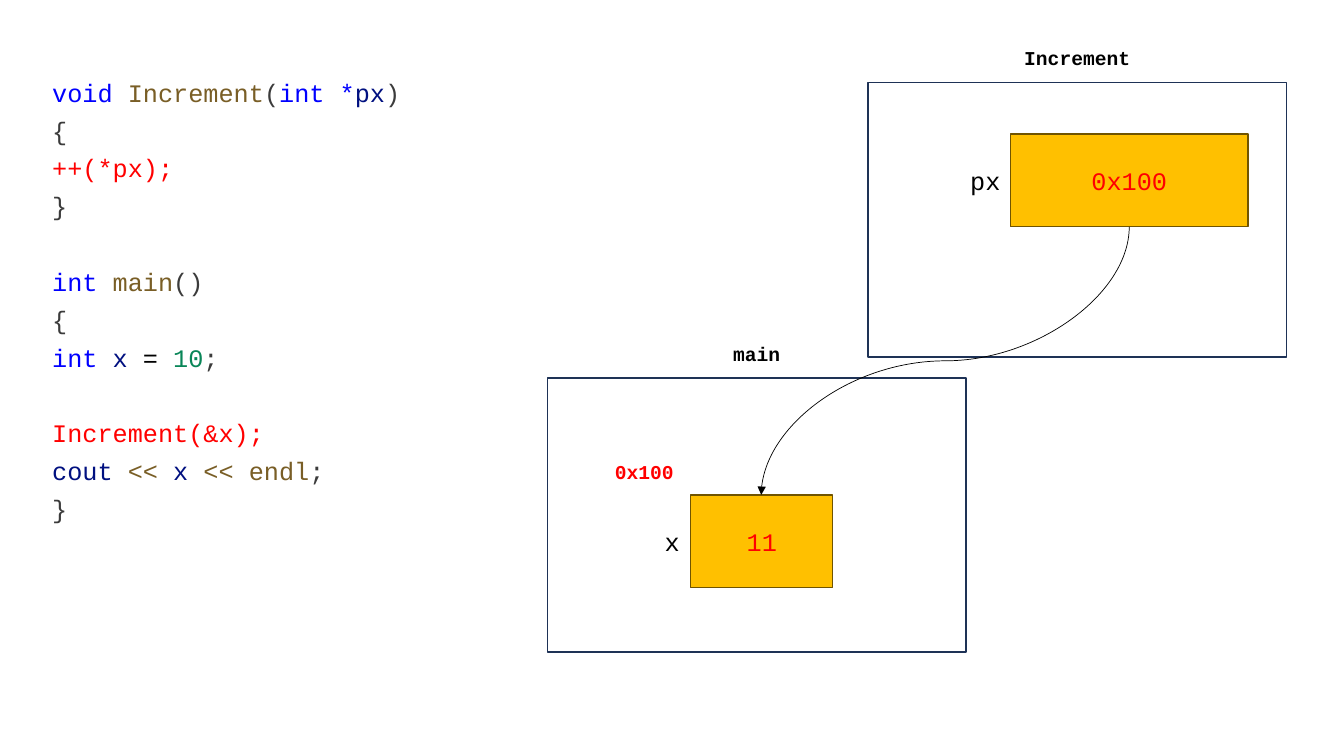
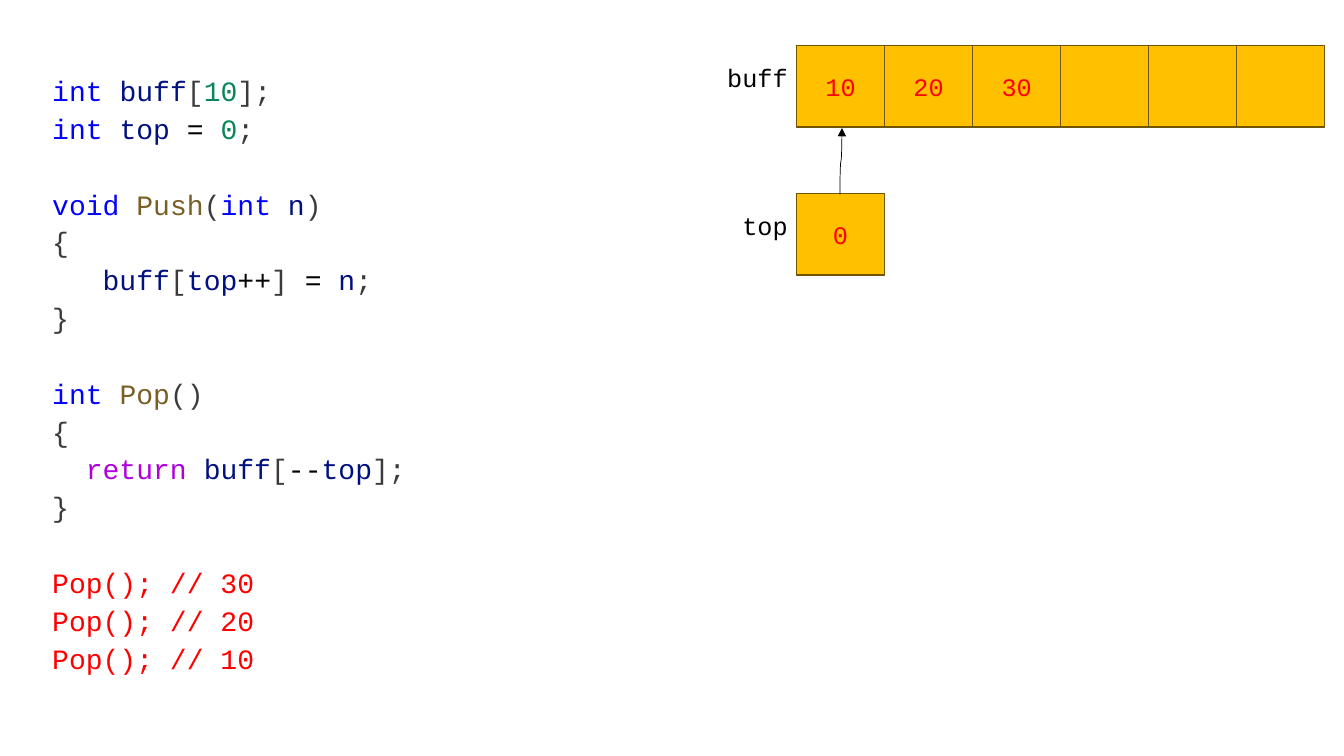
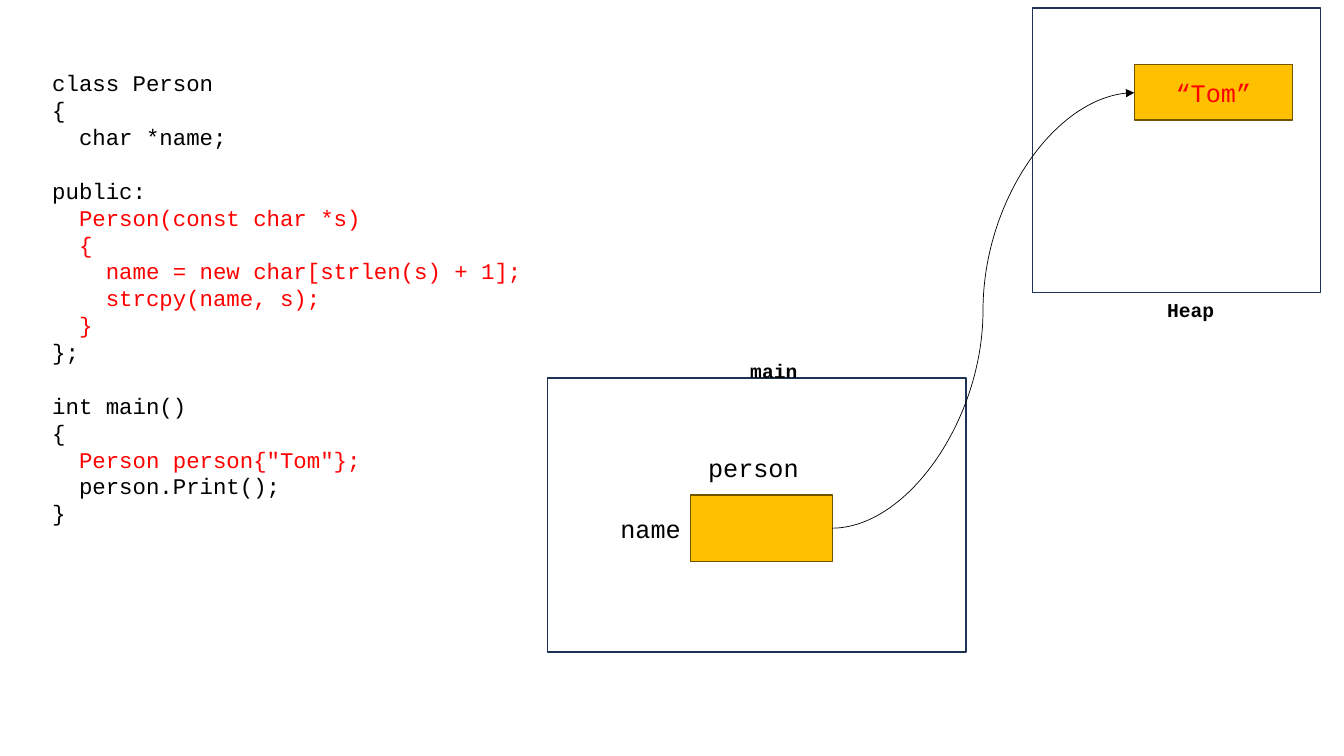
import lxml.etree
import pptx
import pptx.dml.color
import pptx.enum.shapes
import pptx.enum.text
import pptx.oxml.ns
import pptx.util

Inches, Pt = pptx.util.Inches, pptx.util.Pt
ALIGN = pptx.enum.text.PP_ALIGN


class Theme:
    font = "Courier New"
    ink = {
        "word": "0000FF",
        "func": "795E26",
        "mark": "3B3B3B",
        "var": "001080",
        "num": "098658",
        "flow": "AF00DB",
        "hot": "FF0000",
        "text": "000000",
        "page": "FFFFFF",
        "edge": "1E3256",
        "cell": "FFC000",
        "rim": "705400",
    }
    label = 18
    head = 14
    line = 1
    arrow = 0.5


ROW = (7.9, 13.14)
STACK = ("10", "20", "30", "", "", "")
STEP = (ROW[1] - ROW[0]) / len(STACK)
MAIN = (5.43, 3.75, 4.15, 2.72)

POINTER = [
    [("word", "void "), ("func", "Increment"), ("mark", "("), ("word", "int *"),
     ("var", "px"), ("mark", ")")],
    [("mark", "{")],
    [("hot", "++(*px);")],
    [("mark", "}")],
    [],
    [("word", "int "), ("func", "main"), ("mark", "()")],
    [("mark", "{")],
    [("word", "int "), ("var", "x "), ("text", "= "), ("num", "10"), ("mark", ";")],
    [],
    [("hot", "Increment(&x);")],
    [("var", "cout "), ("func", "<< "), ("var", "x "), ("func", "<< endl"), ("mark", ";")],
    [("mark", "}")],
]

PUSHPOP = [
    [("word", "int "), ("var", "buff"), ("mark", "["), ("num", "10"), ("mark", "];")],
    [("word", "int "), ("var", "top "), ("text", "= "), ("num", "0"), ("mark", ";")],
    [],
    [("word", "void "), ("func", "Push"), ("mark", "("), ("word", "int "),
     ("var", "n"), ("mark", ")")],
    [("mark", "{")],
    [("var", "   buff"), ("mark", "["), ("var", "top"), ("text", "++"), ("mark", "] "),
     ("text", "= "), ("var", "n"), ("mark", ";")],
    [("mark", "}")],
    [],
    [("word", "int "), ("func", "Pop"), ("mark", "()")],
    [("mark", "{")],
    [("flow", "  return "), ("var", "buff"), ("mark", "["), ("text", "--"),
     ("var", "top"), ("mark", "];")],
    [("mark", "}")],
    [],
    [("hot", "Pop(); // 30")],
    [("hot", "Pop(); // 20")],
    [("hot", "Pop(); // 10")],
]

PERSON = [
    [("text", "class Person")],
    [("text", "{")],
    [("text", "  char *name;")],
    [],
    [("text", "public:")],
    [("hot", "  Person(const char *s)")],
    [("hot", "  {")],
    [("hot", "    name = new char[strlen(s) + 1];")],
    [("hot", "    strcpy(name, s);")],
    [("hot", "  }")],
    [("text", "};")],
    [],
    [("text", "int main()")],
    [("text", "{")],
    [("hot", "  Person person{\"Tom\"};")],
    [("text", "  person.Print();")],
    [("text", "}")],
]

SLIDES = [
    {
        "code": (POINTER, 18, 27, 4.62),
        "frames": [MAIN, (8.61, 0.82, 4.15, 2.72)],
        "cells": [("11", (6.85, 4.91, 1.41, 0.92)), ("0x100", (10.02, 1.33, 2.36, 0.92))],
        "names": [("x", (5.22, 5.17, 1.62, 0.4)), ("px", (8.4, 1.59, 1.62, 0.4))],
        "heads": [
            ("0x100", (6, 4.51, 1.79, 0.34), "hot", ALIGN.LEFT),
            ("main", (5.43, 3.34, 4.15, 0.34), "text", ALIGN.CENTER),
            ("Increment", (8.61, 0.41, 4.15, 0.34), "text", ALIGN.CENTER),
        ],
        "arrow": ((11.2, 2.25), (7.55, 4.91), True),
    },
    {
        "code": (PUSHPOP, 20, 27, 6.52),
        "frames": [],
        "cells": [(val, (ROW[0] + i * STEP, 0.45, STEP, 0.81)) for i, val in enumerate(STACK)]
        + [("0", (ROW[0], 1.92, STEP, 0.81))],
        "names": [("buff", (6.29, 0.57, 1.62, 0.4)), ("top", (6.29, 2.04, 1.62, 0.4))],
        "heads": [],
        "arrow": ((8.33, 1.93), (8.35, 1.27), True),
    },
    {
        "code": (PERSON, 16, 19.2, 4.68),
        "frames": [(10.24, 0.08, 2.86, 2.82), MAIN],
        "cells": [("", (6.85, 4.91, 1.41, 0.66)), ("“Tom”", (11.25, 0.64, 1.57, 0.55))],
        "names": [("name", (5.7, 5.04, 1.15, 0.4)), ("person", (6.4, 4.44, 1.62, 0.4))],
        "heads": [
            ("Heap", (10.93, 2.91, 1.76, 0.34), "text", ALIGN.CENTER),
            ("main", (5.6, 3.51, 4.15, 0.34), "text", ALIGN.CENTER),
        ],
        "arrow": ((8.25, 5.24), (11.25, 0.92), False),
    },
]


def tint(key):
    return pptx.dml.color.RGBColor.from_string(Theme.ink[key])


def apply(item, form):
    for key, val in form.items():
        setattr(item, key, val)


def write(para, text, size, ink, bold=False):
    run = para.add_run()
    run.text = text
    apply(run.font, {"name": Theme.font, "size": Pt(size), "bold": bold})
    run.font.color.rgb = tint(ink)


def add_text(slide, at):
    frame = slide.shapes.add_textbox(*map(Inches, at)).text_frame
    frame.word_wrap = True
    return frame


def add_code(slide, lines, size, pitch, high):
    frame = add_text(slide, (0.42, 0.64, 6.66, high))
    para, gap = frame.paragraphs[0], 0
    for i, line in enumerate(lines):
        if not line:
            gap = pitch
            continue
        if i:
            para = frame.add_paragraph()
        apply(para, {"line_spacing": Pt(pitch), "space_before": Pt(gap)})
        gap = 0
        for ink, text in line:
            write(para, text, size, ink)


def add_label(slide, text, at, size, ink, align, bold):
    para = add_text(slide, at).paragraphs[0]
    para.alignment = align
    write(para, text, size, ink, bold)


def add_box(slide, at, fill, edge, text=""):
    kind = pptx.enum.shapes.MSO_SHAPE.RECTANGLE
    box = slide.shapes.add_shape(kind, *map(Inches, at))
    box.shadow.inherit = False
    box.fill.solid()
    box.fill.fore_color.rgb = tint(fill)
    box.line.color.rgb = tint(edge)
    box.line.width = Pt(Theme.line)
    if text:
        para = box.text_frame.paragraphs[0]
        para.alignment = ALIGN.CENTER
        write(para, text, Theme.label, "hot")


def add_arrow(slide, start, end, turn):
    if turn:
        mid = [(a + b) / 2 for a, b in zip(start, end)]
        dx, dy = start[0] - mid[0], start[1] - mid[1]
        start = (mid[0] + dy, mid[1] - dx)
        end = (mid[0] - dy, mid[1] + dx)
    kind = pptx.enum.shapes.MSO_CONNECTOR.CURVE
    arrow = slide.shapes.add_connector(kind, *map(Inches, (*start, *end)))
    arrow.line.color.rgb = tint("text")
    arrow.line.width = Pt(Theme.arrow)
    qn, props = pptx.oxml.ns.qn, arrow.element.spPr
    lxml.etree.SubElement(props.find(qn("a:ln")), qn("a:tailEnd"), type="triangle")
    lxml.etree.SubElement(props, qn("a:effectLst"))
    if turn:
        props.find(qn("a:xfrm")).set("rot", "5400000")


def main():
    deck = pptx.Presentation()
    apply(deck, {"slide_width": Inches(13.33), "slide_height": Inches(7.5)})
    for data in SLIDES:
        slide = deck.slides.add_slide(deck.slide_layouts[6])
        for at in data["frames"]:
            add_box(slide, at, "page", "edge")
        add_code(slide, *data["code"])
        for text, at in data["cells"]:
            add_box(slide, at, "cell", "rim", text)
        for text, at in data["names"]:
            add_label(slide, text, at, Theme.label, "text", ALIGN.RIGHT, False)
        for text, at, ink, align in data["heads"]:
            add_label(slide, text, at, Theme.head, ink, align, True)
        add_arrow(slide, *data["arrow"])
    deck.save("out.pptx")


if __name__ == "__main__":
    main()
